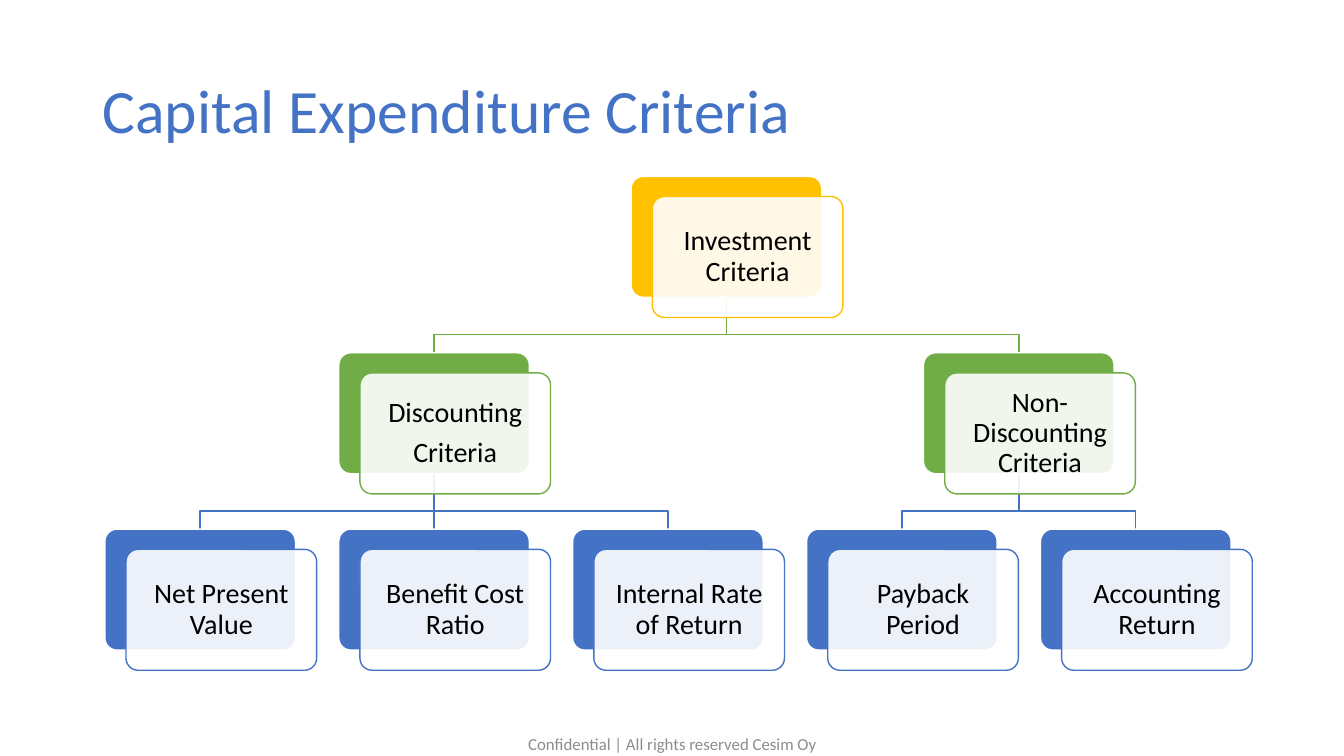
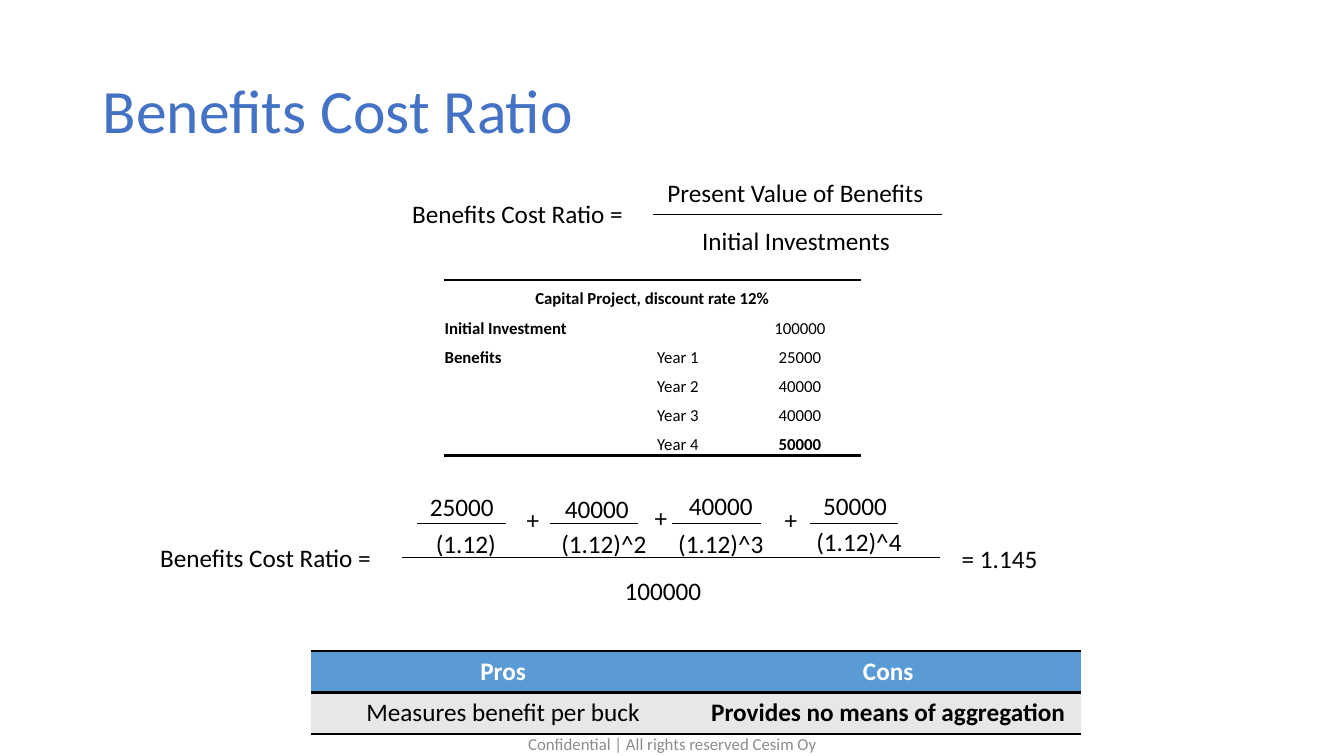
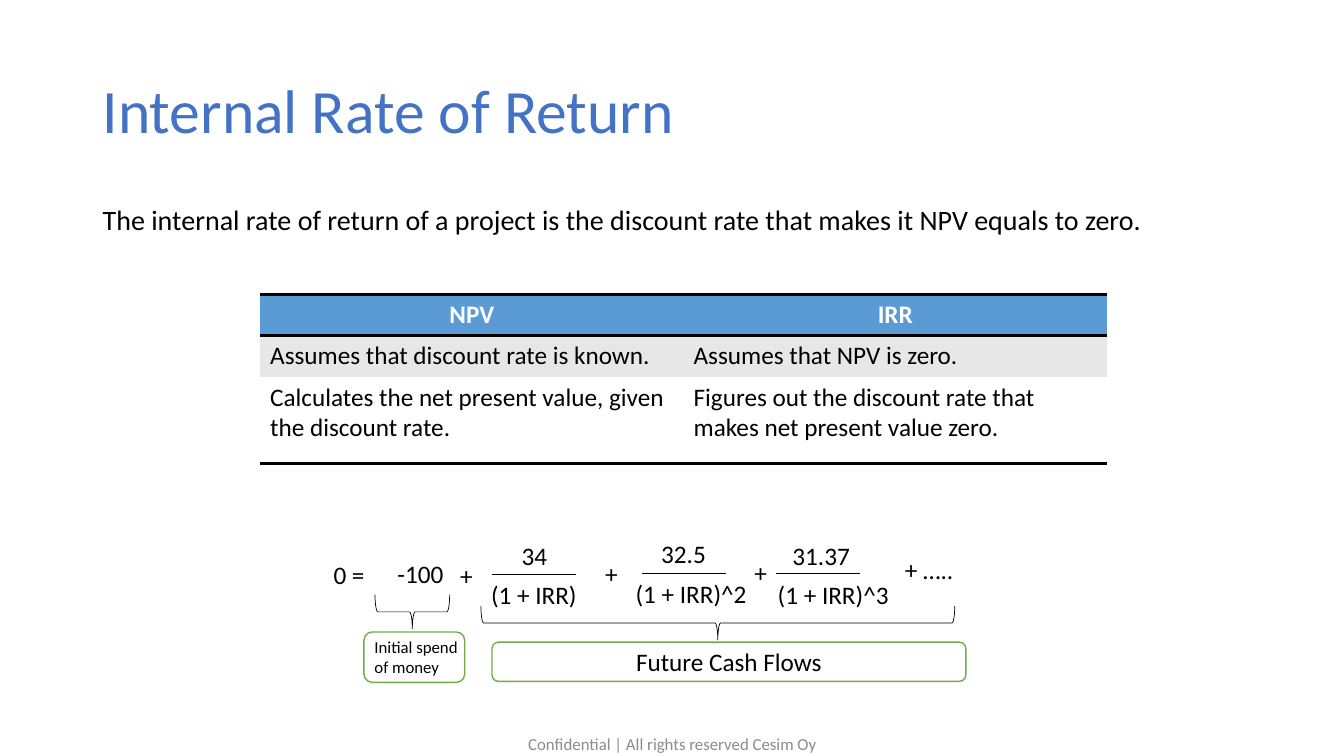
from lxml import etree
from pptx import Presentation
from pptx.dml.color import RGBColor
from pptx.enum.shapes import MSO_CONNECTOR, MSO_SHAPE
from pptx.enum.text import MSO_ANCHOR, PP_ALIGN
from pptx.oxml.ns import qn
from pptx.util import Inches, Pt

LEFT, CENTER = PP_ALIGN.LEFT, PP_ALIGN.CENTER
TOP, MIDDLE, BOTTOM = MSO_ANCHOR.TOP, MSO_ANCHOR.MIDDLE, MSO_ANCHOR.BOTTOM
ROUNDED, BRACE = MSO_SHAPE.ROUNDED_RECTANGLE, MSO_SHAPE.LEFT_BRACE
STRAIGHT = MSO_CONNECTOR.STRAIGHT

BLACK = RGBColor(0x00, 0x00, 0x00)
WHITE = RGBColor(0xFF, 0xFF, 0xFF)
BLUE = RGBColor(0x44, 0x72, 0xC4)
GREEN = RGBColor(0x70, 0xAD, 0x47)
GOLD = RGBColor(0xFF, 0xC0, 0x00)
HEADER_BLUE = RGBColor(0x5B, 0x9B, 0xD5)
BAND_GRAY = RGBColor(0xE7, 0xE7, 0xE7)
FOOTER_GRAY = RGBColor(0x8C, 0x8C, 0x8C)

FONT = "Calibri"
FOOTER = "Confidential | All rights reserved Cesim Oy"
PLAIN_TABLE = "{2D5ABB26-0587-4C30-8999-92F81FD0307C}"
DEFAULT_INSETS = (0.1, 0.05, 0.1, 0.05)

CARD_WIDTH, CARD_HEIGHT = 1.89, 1.2
COLUMN_STEP, LEVEL_STEP = 2.32, 1.75


class Deck:
    def __init__(self):
        self.deck = Presentation()
        self.deck.slide_width = Inches(13.33)
        self.deck.slide_height = Inches(7.5)
        self.page = None

    def add_page(self, title):
        self.page = self.deck.slides.add_slide(self.deck.slide_layouts[6])
        self.text(title, 0.92, 0.4, 11.5, 1.45, size=44, color=BLUE, anchor=MIDDLE, spacing=0.9)
        self.text(FOOTER, 4.42, 7.25, 4.5, 0.25, size=12, color=FOOTER_GRAY,
                  align=CENTER, anchor=MIDDLE)

    def fill_text(self, frame, text, size=18, color=BLACK, bold=False, align=LEFT,
                  spacing=None, after=0):
        for index, line in enumerate(text.split("\n")):
            para = frame.paragraphs[0] if index == 0 else frame.add_paragraph()
            para.alignment = align
            para.space_after = Pt(after)
            if spacing:
                para.line_spacing = spacing
            if not line:
                etree.SubElement(para._p, qn("a:endParaRPr"), sz=str(size * 100))
                continue
            span = para.add_run()
            span.text = line
            span.font.name = FONT
            span.font.size = Pt(size)
            span.font.bold = bold
            span.font.color.rgb = color

    def fit(self, holder, anchor, insets=DEFAULT_INSETS):
        holder.vertical_anchor = anchor
        (holder.margin_left, holder.margin_top,
         holder.margin_right, holder.margin_bottom) = map(Inches, insets)

    def text(self, text, left, top, width, height=0.4, anchor=TOP, **style):
        box = self.page.shapes.add_textbox(*map(Inches, (left, top, width, height)))
        box.text_frame.word_wrap = True
        self.fit(box.text_frame, anchor)
        self.fill_text(box.text_frame, text, **style)

    def label(self, text, left, top, width):
        self.text(text, left, top, width, align=CENTER)

    def shape(self, kind, left, top, width, height, fill=None, line=BLACK, weight=1):
        shape = self.page.shapes.add_shape(kind, *map(Inches, (left, top, width, height)))
        shape.shadow.inherit = False
        shape.text_frame.word_wrap = True
        if fill is None:
            shape.fill.background()
        else:
            shape.fill.solid()
            shape.fill.fore_color.rgb = fill
        shape.line.color.rgb = line
        shape.line.width = Pt(weight)
        return shape

    def line(self, x1, y1, x2, y2, color=BLACK, weight=0.5):
        line = self.page.shapes.add_connector(STRAIGHT, *map(Inches, (x1, y1, x2, y2)))
        line.line.color.rgb = color
        line.line.width = Pt(weight)
        etree.SubElement(line._element.spPr, qn("a:effectLst"))

    def branch(self, x1, y1, x2, y2, color):
        if x1 == x2:
            self.line(x1, y1, x2, y2, color, 1)
            return
        bend = y1 + 0.37
        builder = self.page.shapes.build_freeform(Inches(x1), Inches(y1))
        corners = [(x1, bend), (x2, bend), (x2, y2)]
        builder.add_line_segments([(Inches(x), Inches(y)) for x, y in corners], close=False)
        elbow = builder.convert_to_shape()
        elbow.shadow.inherit = False
        elbow.fill.background()
        elbow.line.color.rgb = color
        elbow.line.width = Pt(1)

    def card(self, text, left, top, color):
        back = self.shape(ROUNDED, left, top, CARD_WIDTH, CARD_HEIGHT, color, WHITE)
        front = self.shape(ROUNDED, left + 0.21, top + 0.2, CARD_WIDTH, CARD_HEIGHT, WHITE, color)
        for plate in (back, front):
            plate.adjustments[0] = 0.1
        tint = front._element.spPr.find(qn("a:solidFill")).find(qn("a:srgbClr"))
        etree.SubElement(tint, qn("a:alpha"), val="90000")
        self.fit(front.text_frame, MIDDLE, (0.08,) * 4)
        self.fill_text(front.text_frame, text, size=20, align=CENTER, spacing=0.9, after=7)

    def fraction(self, bar, numerator, denominator):
        bar_left, bar_top, bar_width = bar
        self.label(*numerator)
        self.line(bar_left, bar_top, bar_left + bar_width, bar_top)
        self.label(*denominator)

    def brace(self, left, top, width, height):
        self.shape(BRACE, left, top, width, height, weight=0.5).rotation = 270

    def callout(self, text, left, top, width, height, insets, **style):
        shape = self.shape(ROUNDED, left, top, width, height, WHITE, GREEN)
        self.fit(shape.text_frame, MIDDLE, insets)
        self.fill_text(shape.text_frame, text, **style)

    def table(self, left, top, columns, rows, ruled_above, ruled_below):
        frame = self.page.shapes.add_table(len(rows), len(columns), *map(
            Inches, (left, top, sum(columns), sum(rows))))
        table = frame.table
        table.first_row = table.horz_banding = False
        table._tbl.tblPr.find(qn("a:tableStyleId")).text = PLAIN_TABLE
        for column, width in zip(table.columns, columns):
            column.width = Inches(width)
        for index, height in enumerate(rows):
            table.rows[index].height = Inches(height)
            for cell in table.rows[index].cells:
                if index in ruled_above:
                    self.rule(cell, "a:lnT")
                if index in ruled_below:
                    self.rule(cell, "a:lnB")
        return table

    def rule(self, cell, side):
        edge = etree.SubElement(cell._tc.get_or_add_tcPr(), qn(side), w=str(Pt(2)))
        fill = etree.SubElement(edge, qn("a:solidFill"))
        etree.SubElement(fill, qn("a:srgbClr"), val=str(BLACK))

    def cell(self, cell, text, fill=WHITE, anchor=TOP, insets=DEFAULT_INSETS, **style):
        cell.fill.solid()
        cell.fill.fore_color.rgb = fill
        self.fit(cell, anchor, insets)
        self.fill_text(cell.text_frame, text, **style)

    def comparison(self, left, top, columns, heights, rows, align, bold_cells=()):
        table = self.table(left, top, columns, heights, (0,), (0, len(rows) - 1))
        for row, texts in enumerate(rows):
            for column, text in enumerate(texts):
                cell = table.cell(row, column)
                if row == 0:
                    self.cell(cell, text, HEADER_BLUE, color=WHITE, bold=True, align=CENTER)
                else:
                    self.cell(cell, text, BAND_GRAY if row % 2 else WHITE, align=align,
                              bold=(row, column) in bold_cells)


def criteria_page(deck):
    deck.add_page("Capital Expenditure Criteria")
    nodes = {
        "root": ("Investment Criteria", 2.25, 0, None),
        "discounting": ("Discounting\nCriteria", 1, 1, "root"),
        "other": ("Non-Discounting Criteria", 3.5, 1, "root"),
        "value": ("Net Present Value", 0, 2, "discounting"),
        "ratio": ("Benefit Cost Ratio", 1, 2, "discounting"),
        "rate": ("Internal Rate of Return", 2, 2, "discounting"),
        "payback": ("Payback Period", 3, 2, "other"),
        "accounting": ("Accounting Return", 4, 2, "other"),
    }
    level_colors = (GOLD, GREEN, BLUE)
    corners = {name: (1.04 + COLUMN_STEP * column, LEVEL_STEP * (level + 1))
               for name, (_, column, level, _) in nodes.items()}
    for name, (_, _, level, parent) in nodes.items():
        if parent:
            (start, above), (end, below) = corners[parent], corners[name]
            deck.branch(start + CARD_WIDTH / 2, above + CARD_HEIGHT,
                        end + CARD_WIDTH / 2, below, level_colors[level])
    for name, (text, _, level, _) in nodes.items():
        deck.card(text, *corners[name], level_colors[level])


def ratio_page(deck):
    deck.add_page("Benefits Cost Ratio")
    deck.text("Benefits Cost Ratio =", 3.99, 1.92, 2.49)
    deck.fraction((6.48, 2.13, 2.86), ("Present Value of Benefits", 6.46, 1.71, 2.86),
                  ("Initial Investments", 6.65, 2.19, 2.49))

    rows = [
        ("Capital Project, discount rate 12%", "", ""),
        ("Initial Investment", "", "100000"),
        ("Benefits", "Year 1", "25000"),
        ("", "Year 2", "40000"),
        ("", "Year 3", "40000"),
        ("", "Year 4", "50000"),
    ]
    table = deck.table(4.4, 2.78, (1.72, 1.21, 1.21), [0.29] * 6, (0,), (5,))
    table.cell(0, 0).merge(table.cell(0, 2))
    for row, texts in enumerate(rows):
        for column, text in enumerate(texts):
            deck.cell(table.cell(row, column), text, anchor=BOTTOM, insets=(0.01, 0.01, 0.01, 0),
                      size=12, bold=column == 0 or (row, column) == (5, 2),
                      align=LEFT if column == 0 and row else CENTER)

    deck.text("Benefits Cost Ratio =", 1.49, 5.33, 2.49)
    deck.line(3.99, 5.53, 9.32, 5.53)
    terms = [
        (4.14, ("25000", 4.14, 4.83), ("(1.12)", 4.18, 5.19, 0.88)),
        (5.45, ("40000", 5.48, 4.84), ("(1.12)^2", 5.41, 5.19, 1.16)),
        (6.67, ("40000", 6.71, 4.82), ("(1.12)^3", 6.57, 5.19, 1.16)),
        (8.03, ("50000", 8.04, 4.82), ("(1.12)^4", 7.94, 5.17, 1.16)),
    ]
    for bar_left, numerator, denominator in terms:
        deck.fraction((bar_left, 5.19, 0.88), (*numerator, 0.88), denominator)
    for left, top in ((4.65, 4.95), (5.92, 4.93), (7.21, 4.95)):
        deck.label("+", left, top, 1.27)
    deck.label("100000", 5.94, 5.66, 1.27)
    deck.text("= 1.145", 9.44, 5.34, 1.27)

    deck.comparison(3.08, 6.46, (3.82, 3.82), (0.41, 0.41), [
        ("Pros", "Cons"),
        ("Measures benefit per buck", "Provides no means of aggregation"),
    ], CENTER, bold_cells=[(1, 1)])


def return_page(deck):
    deck.add_page("Internal Rate of Return")
    deck.text("The internal rate of return of a project is the discount rate that makes it "
              "NPV equals to zero.", 0.92, 2, 11.5, 0.57, size=20, spacing=0.9)
    deck.comparison(2.58, 2.92, (4.2, 4.2), (0.41, 0.41, 0.86), [
        ("NPV", "IRR"),
        ("Assumes that discount rate is known.", "Assumes that NPV is zero."),
        ("Calculates the net present value, given\nthe discount rate.",
         "Figures out the discount rate that makes net present value zero."),
    ], LEFT)

    deck.text("0 =", 3.21, 5.5, 0.57)
    deck.label("-100", 3.8, 5.49, 0.74)
    terms = [
        (4.88, 5.7, ("34", 4.93, 5.31, 0.74), ("(1 + IRR)", 4.74, 5.7, 1.11)),
        (6.37, 5.69, ("32.5", 6.41, 5.29, 0.74), ("(1 + IRR)^2", 6.09, 5.69, 1.53)),
        (7.7, 5.69, ("31.37", 7.73, 5.31, 0.83), ("(1 + IRR)^3", 7.5, 5.7, 1.53)),
    ]
    for bar_left, bar_top, numerator, denominator in terms:
        deck.fraction((bar_left, bar_top, 0.83), numerator, denominator)
    for text, left, top in (("+", 3.99, 5.51), ("+", 5.43, 5.49),
                            ("+", 6.91, 5.48), ("+ …..", 8.58, 5.45)):
        deck.label(text, left, top, 1.27)

    deck.callout("Initial spend of money", 3.61, 6.27, 1, 0.5, (0.08, 0.03, 0, 0.03), size=12)
    deck.callout("Future Cash Flows", 4.88, 6.37, 4.7, 0.39, DEFAULT_INSETS, align=CENTER)
    deck.brace(6.95, 3.83, 0.34, 4.7)
    deck.brace(3.92, 5.7, 0.34, 0.74)


def main():
    deck = Deck()
    criteria_page(deck)
    ratio_page(deck)
    return_page(deck)
    deck.deck.save("out.pptx")


if __name__ == "__main__":
    main()
